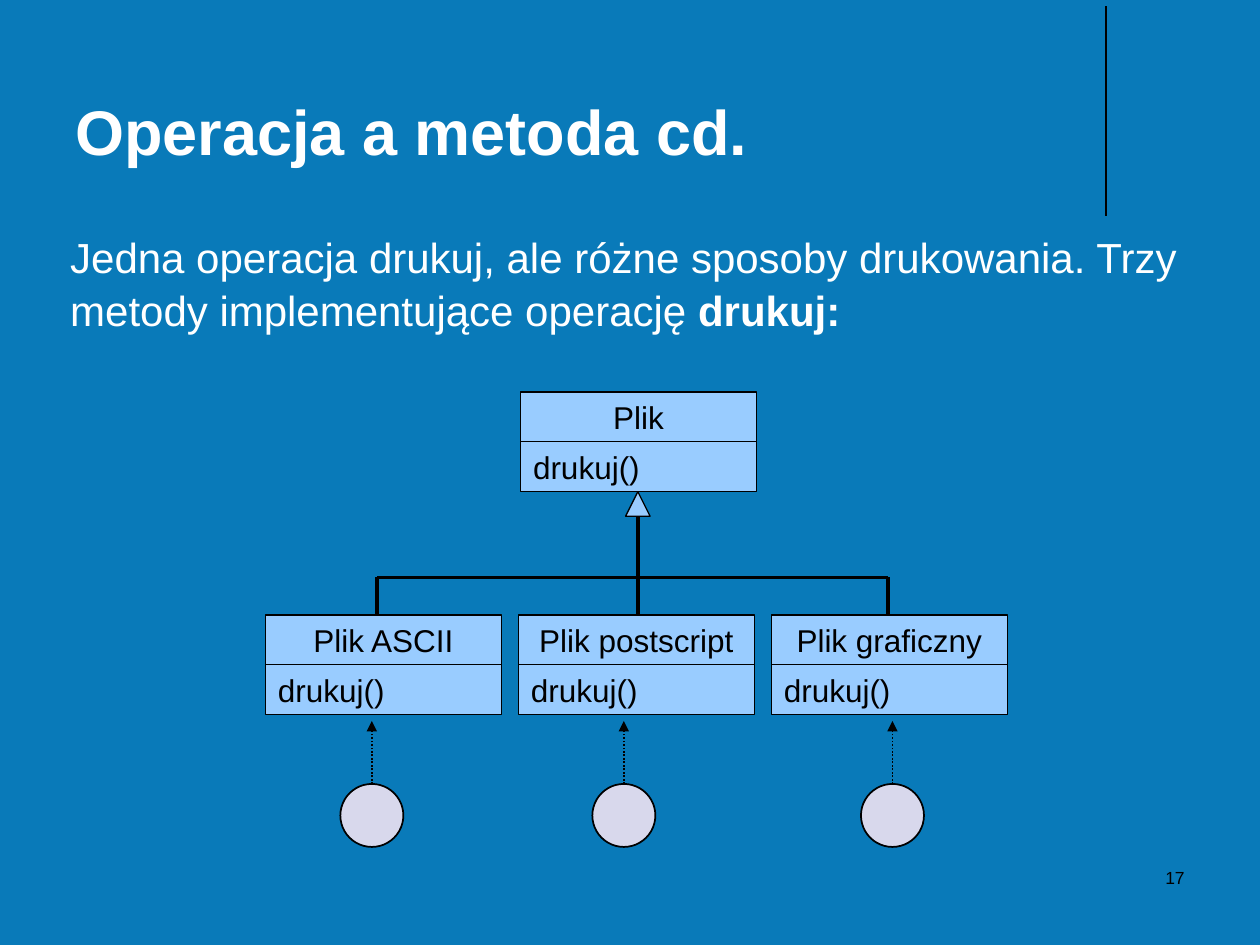
import pptx
import pptx.util
import pptx.dml.color
import pptx.enum.dml
import pptx.enum.shapes
import pptx.enum.text
import pptx.oxml
import pptx.oxml.ns

Pt = pptx.util.Pt
Shape = pptx.enum.shapes.MSO_SHAPE
Align = pptx.enum.text.PP_ALIGN
Anchor = pptx.enum.text.MSO_ANCHOR

THEME = {
    "font": "Arial",
    "back": "097AB9", "light": "FFFFFF", "dark": "000000",
    "box": "99CCFF", "dot": "D8D8EC",
    "title": 36, "body": 24, "label": 18, "small": 10,
}

TITLE = [("Operacja a metoda cd.", True)]
BODY = [
    ("Jedna operacja drukuj, ale różne sposoby drukowania. "
     "Trzy metody implementujące operację", False),
    (" drukuj:", True),
]
NUMBER = [("17", False)]
METHOD = "drukuj()"
PARENT = ("Plik", 297.5, 224)
# class name, x of its branch line, x of its circle
KIDS = [
    ("Plik ASCII", 215.5, 212.5),
    ("Plik postscript", 364.5, 356.5),
    ("Plik graficzny", 507.5, 510),
]

BOX_W, BOX_H = 134.8, 28.4
KID_X, KID_Y, STEP = 151.7, 351.5, 144.55
BAR_Y = 330
TIP_X, TIP_Y, TIP = 364.5, 281, 14
DOT, DOT_Y, ARROW_Y = 36, 448, 412


def color(name):
    return pptx.dml.color.RGBColor.from_string(THEME[name])


def write(shape, runs, size, ink, align=Align.LEFT, anchor=Anchor.TOP, gap=1.0):
    frame = shape.text_frame
    frame.word_wrap = True
    frame.vertical_anchor = anchor
    para = frame.paragraphs[0]
    para.alignment = align
    para.line_spacing = gap
    for text, bold in runs:
        run = para.add_run()
        run.text = text
        look = {"name": THEME["font"], "size": Pt(THEME[size]), "bold": bold}
        for key, value in look.items():
            setattr(run.font, key, value)
        run.font.color.rgb = color(ink)


def add_text(slide, place, *args, **opts):
    write(slide.shapes.add_textbox(*map(Pt, place)), *args, **opts)


def add_form(slide, kind, place, fill, width=0):
    shape = slide.shapes.add_shape(kind, *map(Pt, place))
    shape.shadow.inherit = False
    shape.fill.solid()
    shape.fill.fore_color.rgb = color(fill)
    shape.line.color.rgb = color("dark")
    shape.line.width = Pt(width)
    return shape


def add_line(slide, start, end, width=0, arrow=False):
    line = slide.shapes.add_connector(
        pptx.enum.shapes.MSO_CONNECTOR.STRAIGHT, *map(Pt, start + end))
    line.line.color.rgb = color("dark")
    line.line.width = Pt(width)
    if arrow:
        line.line.dash_style = pptx.enum.dml.MSO_LINE.ROUND_DOT
        pptx.oxml.parse_xml(
            "<a:tailEnd %s type='triangle'/>" % pptx.oxml.ns.nsdecls("a"))
        line.line._get_or_add_ln().append(pptx.oxml.parse_xml(
            "<a:tailEnd %s type='triangle'/>" % pptx.oxml.ns.nsdecls("a")))
    line._element.spPr.append(pptx.oxml.parse_xml(
        "<a:effectLst %s/>" % pptx.oxml.ns.nsdecls("a")))


def add_class(slide, name, left, top):
    """Draw a class as a name box above a method box."""
    rows = [(name, Align.CENTER), (METHOD, Align.LEFT)]
    for row, (text, align) in enumerate(rows):
        place = (left, top + row * BOX_H, BOX_W, BOX_H)
        box = add_form(slide, Shape.RECTANGLE, place, "box")
        write(box, [(text, False)], "label", "dark", align, Anchor.MIDDLE)


def add_tree(slide):
    add_class(slide, *PARENT)
    for col, (name, branch, mid) in enumerate(KIDS):
        add_class(slide, name, KID_X + col * STEP, KID_Y)
        top = TIP_Y + TIP if branch == TIP_X else BAR_Y
        add_line(slide, (branch, KID_Y), (branch, top))
        add_form(slide, Shape.OVAL, (mid - DOT / 2, DOT_Y, DOT, DOT), "dot", 1)
        add_line(slide, (mid, DOT_Y), (mid, ARROW_Y), 1, arrow=True)
    add_line(slide, (KIDS[0][1], BAR_Y), (KIDS[-1][1], BAR_Y))
    add_form(slide, Shape.ISOSCELES_TRIANGLE,
             (TIP_X - TIP / 2, TIP_Y, TIP, TIP), "box")


def main():
    deck = pptx.Presentation()
    deck.slide_width, deck.slide_height = Pt(720), Pt(540)
    slide = deck.slides.add_slide(deck.slide_layouts[6])
    slide.background.fill.solid()
    slide.background.fill.fore_color.rgb = color("back")

    add_line(slide, (632, 3.5), (632, 123.5), 0.75)
    add_text(slide, (36, 9.5, 594, 90), TITLE, "title", "light",
             anchor=Anchor.BOTTOM)
    add_text(slide, (33, 127.5, 654.5, 86.5), BODY, "body", "light", gap=1.05)
    add_tree(slide)
    add_text(slide, (516, 492, 168, 36), NUMBER, "small", "dark", Align.RIGHT)
    deck.save("out.pptx")


if __name__ == "__main__":
    main()
